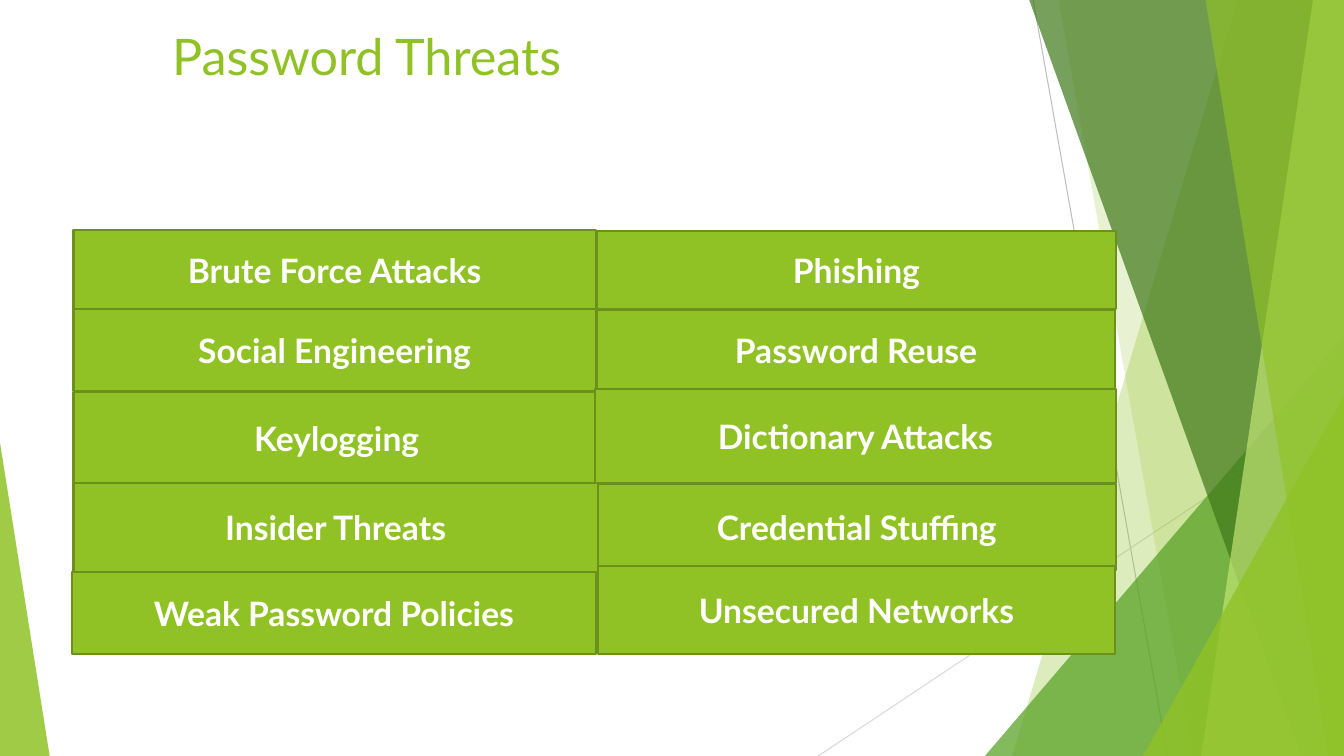
"""Build the Password Threats slide with its faceted green backdrop."""
from dataclasses import dataclass

from lxml import etree
from pptx import Presentation
from pptx import util as u
from pptx.dml import color
from pptx.enum import shapes, text
from pptx.oxml import ns


@dataclass(frozen=True)
class Theme:
    font: str = "Lato"
    title_size: int = 36
    tile_size: int = 24
    green: str = "90C226"
    border: str = "6B901C"
    leaf: str = "54A021"
    forest: str = "3F7819"
    lime: str = "C0E474"
    gray: str = "BFBFBF"
    silver: str = "D9D9D9"
    white: str = "FFFFFF"


class SlideBuilder:
    def __init__(self, slide, theme):
        self.slide = slide
        self.theme = theme

    def fill(self, shape, rgb, opacity=100):
        shape.shadow.inherit = False
        shape.fill.solid()
        shape.fill.fore_color.rgb = color.RGBColor.from_string(rgb)
        if opacity < 100:
            color_element = shape.element.spPr.find(".//" + ns.qn("a:srgbClr"))
            etree.SubElement(color_element, ns.qn("a:alpha"), val=str(opacity * 1000))

    def label(self, shape, words, size, rgb, bold, alignment, anchor):
        frame = shape.text_frame
        frame.text = words
        frame.word_wrap = True
        frame.auto_size = text.MSO_AUTO_SIZE.NONE
        frame.vertical_anchor = anchor
        paragraph = frame.paragraphs[0]
        paragraph.alignment = alignment
        font = paragraph.runs[0].font
        font.name = self.theme.font
        font.size = u.Pt(size)
        font.bold = bold
        font.color.rgb = color.RGBColor.from_string(rgb)

    def line(self, start, end, rgb):
        points = [u.Pt(value) for value in (*start, *end)]
        connector = self.slide.shapes.add_connector(shapes.MSO_CONNECTOR.STRAIGHT, *points)
        connector.line.width = u.Pt(0.75)
        connector.line.color.rgb = color.RGBColor.from_string(rgb)
        etree.SubElement(connector.element.spPr, ns.qn("a:effectLst"))

    def facet(self, top_left, bottom_left, rgb, opacity):
        corners = [(960, -0.6), (960, 540), (bottom_left, 540)]
        builder = self.slide.shapes.build_freeform(u.Pt(top_left), u.Pt(-0.6))
        builder.add_line_segments([(u.Pt(x), u.Pt(y)) for x, y in corners])
        shape = builder.convert_to_shape()
        self.fill(shape, rgb, opacity)
        shape.line.fill.background()

    def triangle(self, left, top, width, apex, rgb, opacity):
        box = [u.Pt(value) for value in (left, top, width, 540 - top)]
        shape = self.slide.shapes.add_shape(shapes.MSO_SHAPE.ISOSCELES_TRIANGLE, *box)
        shape.adjustments[0] = apex
        self.fill(shape, rgb, opacity)
        shape.line.fill.background()

    def title(self, words, left, top, width, height, inset):
        title = self.slide.shapes.title
        title.left, title.top = u.Pt(left), u.Pt(top)
        title.width, title.height = u.Pt(width), u.Pt(height)
        self.label(title, words, self.theme.title_size, self.theme.green, False,
                   text.PP_ALIGN.LEFT, text.MSO_ANCHOR.TOP)
        title.text_frame.margin_left = u.Pt(inset)
        title.element.getparent().append(title.element)

    def tile(self, words, left, top, width, height):
        box = [u.Pt(value) for value in (left, top, width, height)]
        shape = self.slide.shapes.add_shape(shapes.MSO_SHAPE.RECTANGLE, *box)
        self.fill(shape, self.theme.green)
        shape.line.width = u.Pt(1.5)
        shape.line.color.rgb = color.RGBColor.from_string(self.theme.border)
        self.label(shape, words, self.theme.tile_size, self.theme.white, True,
                   text.PP_ALIGN.CENTER, text.MSO_ANCHOR.MIDDLE)


THREATS = [
    ("Brute Force Attacks", 52.5, 164, 373, 57.5),
    ("Phishing", 426.5, 165, 370.5, 56),
    ("Social Engineering", 52.5, 220.5, 373, 59),
    ("Password Reuse", 426.5, 221.5, 370, 57.5),
    ("Keylogging", 52.5, 280, 376, 65.5),
    ("Dictionary Attacks", 425, 278, 372, 67),
    ("Insider Threats", 52.5, 345, 374.5, 63.5),
    ("Credential Stuffing", 427, 345.5, 370, 62),
    ("Weak Password Policies", 51.5, 408.5, 374, 58.5),
    ("Unsecured Networks", 427, 404.5, 369.5, 62.5),
]


def main():
    presentation = Presentation()
    presentation.slide_width, presentation.slide_height = u.Pt(960), u.Pt(540)
    slide = presentation.slides.add_slide(presentation.slide_layouts[5])
    theme = Theme()
    builder = SlideBuilder(slide, theme)

    builder.line((738, 0), (834, 540), theme.gray)
    builder.line((960, 290), (584.5, 540), theme.silver)
    builder.facet(884, 723, theme.green, 30)
    builder.facet(756, 852, theme.green, 20)
    builder.triangle(703.5, 240, 256.5, 1, theme.leaf, 72)
    builder.facet(735, 929.5, theme.forest, 70)
    builder.facet(938, 858, theme.lime, 70)
    builder.facet(861, 949, theme.green, 65)
    builder.triangle(816.5, 283, 143.5, 1, theme.green, 80)
    builder.triangle(0, 316, 35.5, 0, theme.green, 85)

    builder.title("Password Threats", 53.5, 14.5, 677, 137.5, inset=69.5)
    for threat in THREATS:
        builder.tile(*threat)

    presentation.save("out.pptx")


if __name__ == "__main__":
    main()
